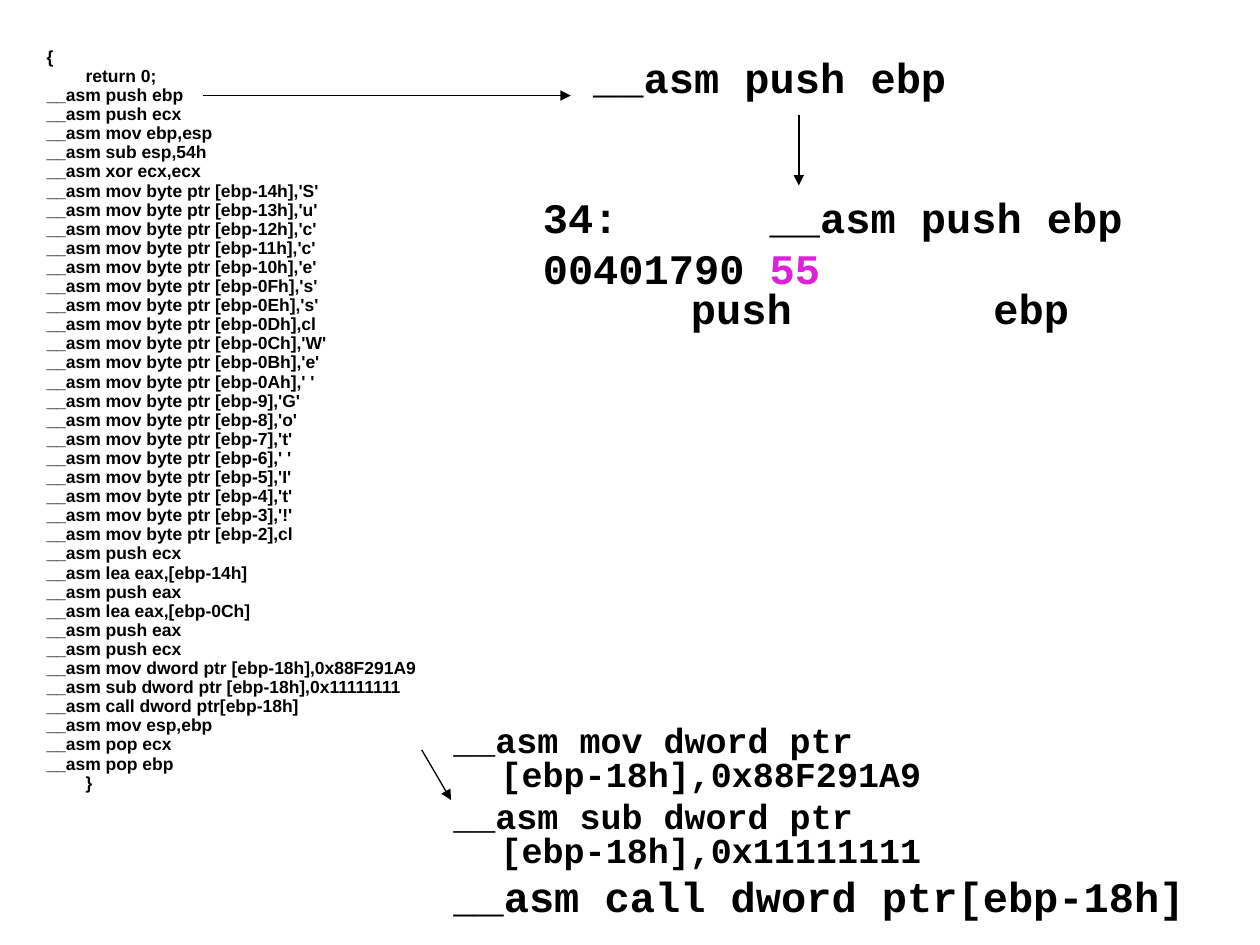
"""Build a slide that follows inline assembly from source code to opcodes."""
from dataclasses import dataclass

from lxml.etree import SubElement
from pptx import Presentation
from pptx.dml.color import RGBColor
from pptx.enum.shapes import MSO_CONNECTOR
from pptx.enum.text import MSO_ANCHOR, MSO_AUTO_SIZE
from pptx.oxml.ns import qn
from pptx.util import Pt


@dataclass(frozen=True)
class Theme:
    ink: RGBColor = RGBColor(0x00, 0x00, 0x00)
    opcode: RGBColor = RGBColor(0xDD, 0x21, 0xD9)
    listing_font: str = "Arial"
    detail_font: str = "Courier New"
    listing_size: int = 10
    detail_size: int = 20
    large_size: int = 24
    arrow_width: float = 0.75


theme = Theme()

listing_code = [
    "{",
    "\treturn 0;",
    "__asm push ebp",
    "__asm push ecx",
    "__asm mov ebp,esp",
    "__asm sub esp,54h",
    "__asm xor ecx,ecx",
    "__asm mov byte ptr [ebp-14h],'S'",
    "__asm mov byte ptr [ebp-13h],'u'",
    "__asm mov byte ptr [ebp-12h],'c'",
    "__asm mov byte ptr [ebp-11h],'c'",
    "__asm mov byte ptr [ebp-10h],'e'",
    "__asm mov byte ptr [ebp-0Fh],'s'",
    "__asm mov byte ptr [ebp-0Eh],'s'",
    "__asm mov byte ptr [ebp-0Dh],cl",
    "__asm mov byte ptr [ebp-0Ch],'W'",
    "__asm mov byte ptr [ebp-0Bh],'e'",
    "__asm mov byte ptr [ebp-0Ah],' '",
    "__asm mov byte ptr [ebp-9],'G'",
    "__asm mov byte ptr [ebp-8],'o'",
    "__asm mov byte ptr [ebp-7],'t'",
    "__asm mov byte ptr [ebp-6],' '",
    "__asm mov byte ptr [ebp-5],'I'",
    "__asm mov byte ptr [ebp-4],'t'",
    "__asm mov byte ptr [ebp-3],'!'",
    "__asm mov byte ptr [ebp-2],cl",
    "__asm push ecx",
    "__asm lea eax,[ebp-14h]",
    "__asm push eax",
    "__asm lea eax,[ebp-0Ch]",
    "__asm push eax",
    "__asm push ecx",
    "__asm mov dword ptr [ebp-18h],0x88F291A9",
    "__asm sub dword ptr [ebp-18h],0x11111111",
    "__asm call dword ptr[ebp-18h]",
    "__asm mov esp,ebp",
    "__asm pop ecx",
    "__asm pop ebp",
    "\t}",
]


def write_code(shape, lines, font_name, indent, line_spacing, tab_step):
    frame = shape.text_frame
    frame_format = {
        "word_wrap": True, "auto_size": MSO_AUTO_SIZE.NONE,
        "vertical_anchor": MSO_ANCHOR.TOP,
        "margin_left": Pt(7.2), "margin_right": Pt(7.2),
        "margin_top": Pt(3.6), "margin_bottom": Pt(3.6),
    }
    for name, value in frame_format.items():
        setattr(frame, name, value)
    for index, (size, space_before, runs) in enumerate(lines):
        paragraph = frame.add_paragraph() if index else frame.paragraphs[0]
        properties = paragraph._p.get_or_add_pPr()
        properties.set("marL", str(Pt(indent)))
        properties.set("indent", str(-Pt(indent)))
        SubElement(properties, qn("a:buNone"))
        tab_list = SubElement(properties, qn("a:tabLst"))
        for stop in range(8):
            SubElement(tab_list, qn("a:tab"), pos=str(Pt(stop * tab_step)), algn="l")
        paragraph.line_spacing = line_spacing
        paragraph.space_before = Pt(space_before if index else 0)
        for text, color in runs:
            run = paragraph.add_run()
            run.text = text
            font_format = {"name": font_name, "size": Pt(size), "bold": True}
            for name, value in font_format.items():
                setattr(run.font, name, value)
            run.font.color.rgb = color


presentation = Presentation()
presentation.slide_width, presentation.slide_height = Pt(720), Pt(540)
slide = presentation.slides.add_slide(presentation.slide_layouts[1])
title = slide.shapes.title
title._element.getparent().remove(title._element)

listing = slide.placeholders[1]
listing_place = {"left": 19.4, "top": 25.9, "width": 272.2, "height": 470.2}
for name, value in listing_place.items():
    setattr(listing, name, Pt(value))
listing_lines = [(theme.listing_size, 2.5, [(line, theme.ink)]) for line in listing_code]
write_code(listing, listing_lines, theme.listing_font, 22.3, 0.7, 71.3)

details = [
    ((252, 411.8, 447.8, 108.7), [
        (theme.detail_size, 5, [("__asm mov dword ptr [ebp-18h],0x88F291A9", theme.ink)]),
        (theme.detail_size, 5, [("__asm sub dword ptr [ebp-18h],0x11111111", theme.ink)]),
        (theme.large_size, 6, [("__asm call dword ptr[ebp-18h]", theme.ink)]),
    ]),
    ((331.9, 31.7, 351.4, 30.2), [
        (theme.large_size, 0, [("__asm push ebp", theme.ink)]),
    ]),
    ((303.1, 111.6, 385.9, 82.1), [
        (theme.large_size, 6, [("34:      __asm push ebp", theme.ink)]),
        (theme.large_size, 6, [
            ("00401790 ", theme.ink),
            ("55", theme.opcode),
            ("                   push        ebp", theme.ink),
        ]),
    ]),
]
for place, lines in details:
    detail = slide.shapes.add_textbox(*map(Pt, place))
    write_code(detail, lines, theme.detail_font, 27, 0.8, 72)

arrows = [
    (116, 54.6, 326.2, 54.6),
    (456.5, 65.7, 456.5, 106),
    (241, 428.5, 257.8, 457.2),
]
for ends in arrows:
    arrow = slide.shapes.add_connector(MSO_CONNECTOR.STRAIGHT, *map(Pt, ends))
    arrow.line.color.rgb = theme.ink
    arrow.line.width = Pt(theme.arrow_width)
    SubElement(arrow._element.spPr.find(qn("a:ln")), qn("a:tailEnd"), type="triangle")
    SubElement(arrow._element.spPr, qn("a:effectLst"))

presentation.save("out.pptx")
